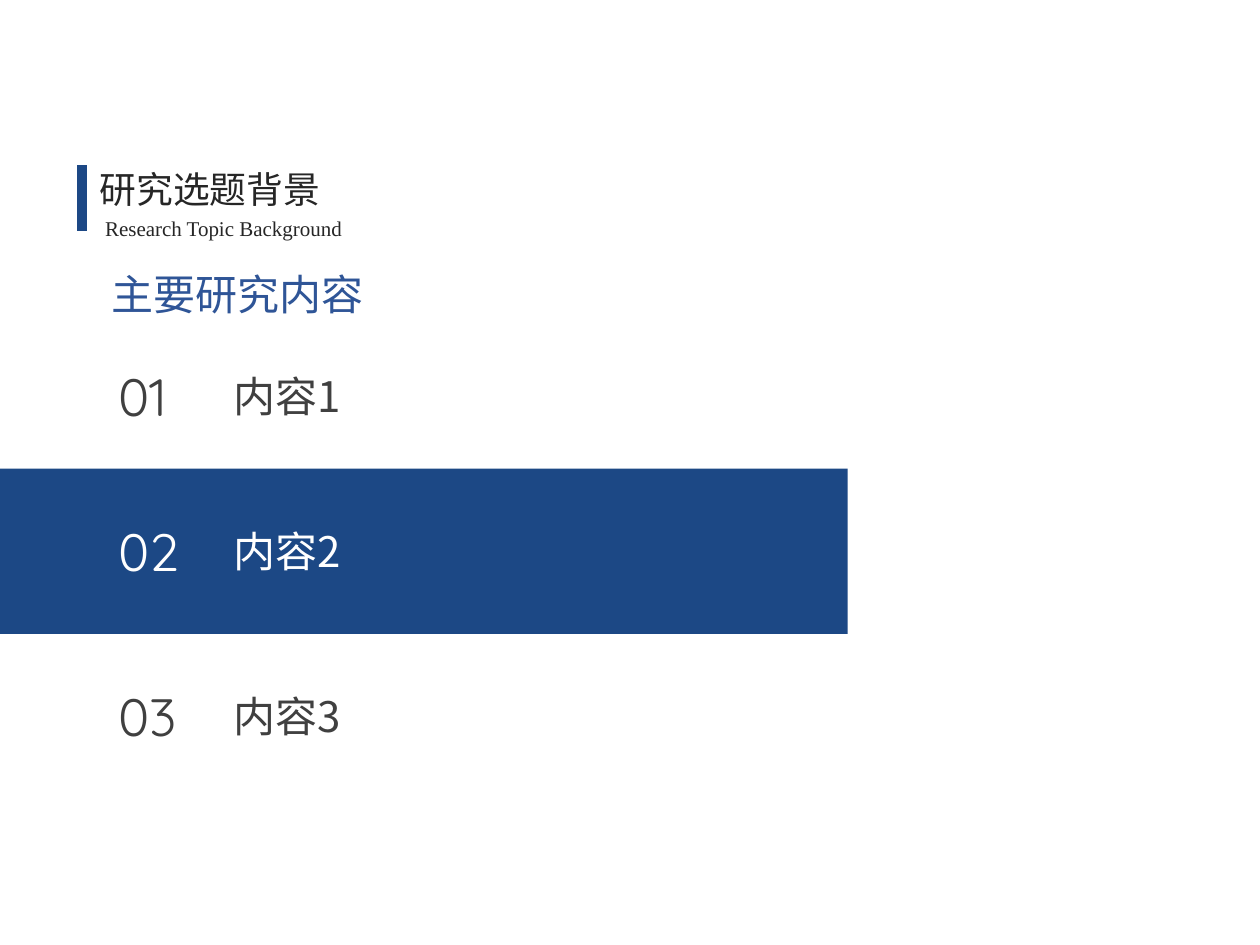
from lxml import etree
from pptx import Presentation
from pptx.dml.color import RGBColor
from pptx.enum import shapes, text
from pptx.oxml.ns import qn
from pptx.util import Cm, Pt

NAVY = RGBColor(0x1C, 0x48, 0x85)
BLUE = RGBColor(0x2F, 0x55, 0x97)
DARK = RGBColor(0x26, 0x26, 0x26)
GRAY = RGBColor(0x40, 0x40, 0x40)
WHITE = RGBColor(0xFF, 0xFF, 0xFF)
SANS, NUMERAL, SERIF = "Noto Sans CJK SC", "Quicksand", "Times New Roman"

HEADINGS = [
    ("研究选题背景", (1.27, 3.23, 5.92, 1.14), 21, SANS, DARK),
    ("Research Topic Background", (1.65, 4.22, 5.72, 0.76), 12, SERIF, DARK),
    ("主要研究内容", (0.41, 5.28, 8.76, 1.27), 24, SANS, BLUE),
]
ITEMS = [
    ("01", "内容1", 7.21, GRAY),
    ("02", "内容2", 10.34, WHITE),
    ("03", "内容3", 13.67, GRAY),
]
NUMBER_LEFT, LABEL_LEFT, LABEL_DROP = 2.13, 4.45, 0.13

prs = Presentation()
prs.slide_width, prs.slide_height = Cm(25.4), Cm(19.05)
s = prs.slides.add_slide(prs.slide_layouts[6])


def add_text(content, box, size, font, color, align=text.PP_ALIGN.LEFT):
    tf = s.shapes.add_textbox(*map(Cm, box)).text_frame
    tf.word_wrap = True
    p = tf.paragraphs[0]
    p.alignment = align
    r = p.add_run()
    r.text = content
    r.font.size = Pt(size)
    r.font.name = font
    r.font.color.rgb = color
    etree.SubElement(r.font._element, qn("a:ea")).set("typeface", font)


band = s.shapes.add_shape(shapes.MSO_SHAPE.RECTANGLE, 0, Cm(9.45), Cm(17.09), Cm(3.33))
band.shadow.inherit = False
band.fill.solid()
band.fill.fore_color.rgb = NAVY
band.line.fill.background()

bar = s.shapes.add_connector(shapes.MSO_CONNECTOR.STRAIGHT, Cm(1.65), Cm(3.33), Cm(1.65), Cm(4.65))
bar.line.color.rgb = NAVY
bar.line.width = Pt(6)
etree.SubElement(bar._element.spPr, qn("a:effectLst"))

for heading in HEADINGS:
    add_text(*heading, align=text.PP_ALIGN.CENTER)

for number, label, top, color in ITEMS:
    add_text(number, (NUMBER_LEFT, top, 1.8, 1.55), 30, NUMERAL, color)
    add_text(label, (LABEL_LEFT, top + LABEL_DROP, 8.59, 1.27), 24, SANS, color)

prs.save("out.pptx")
